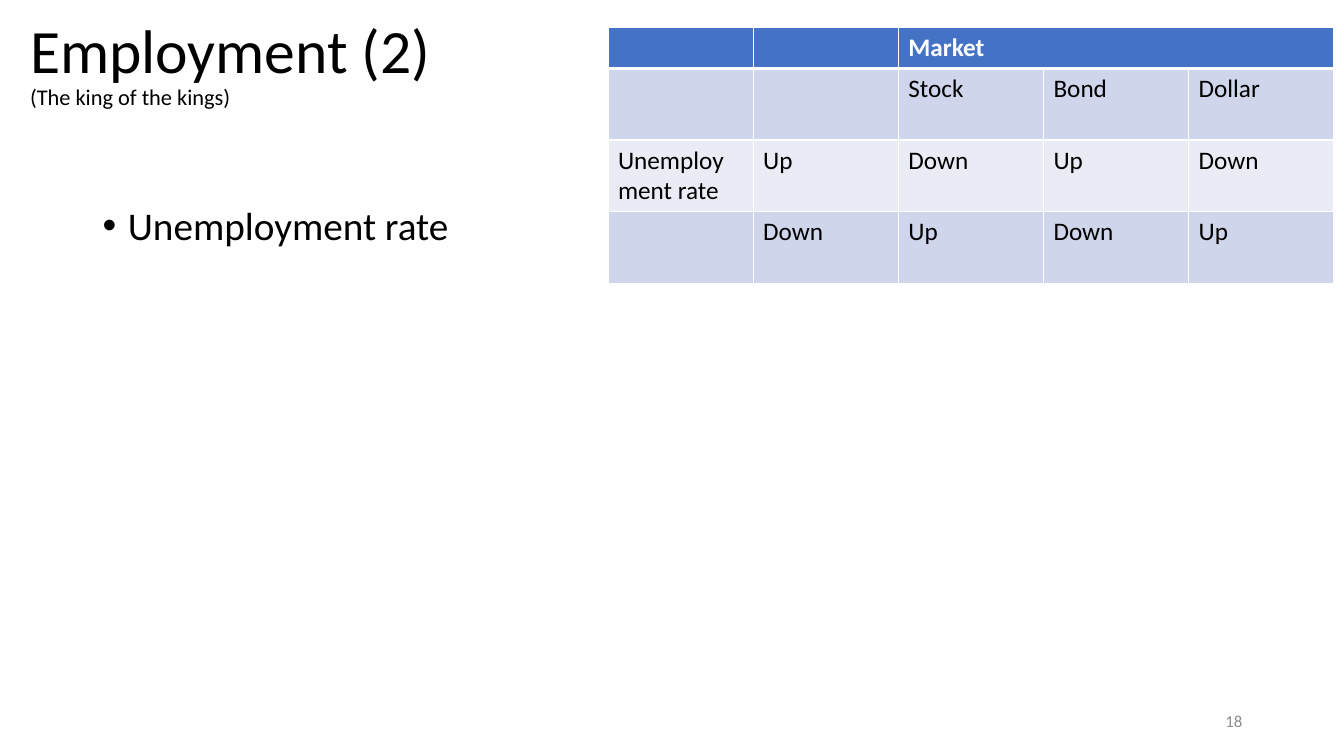
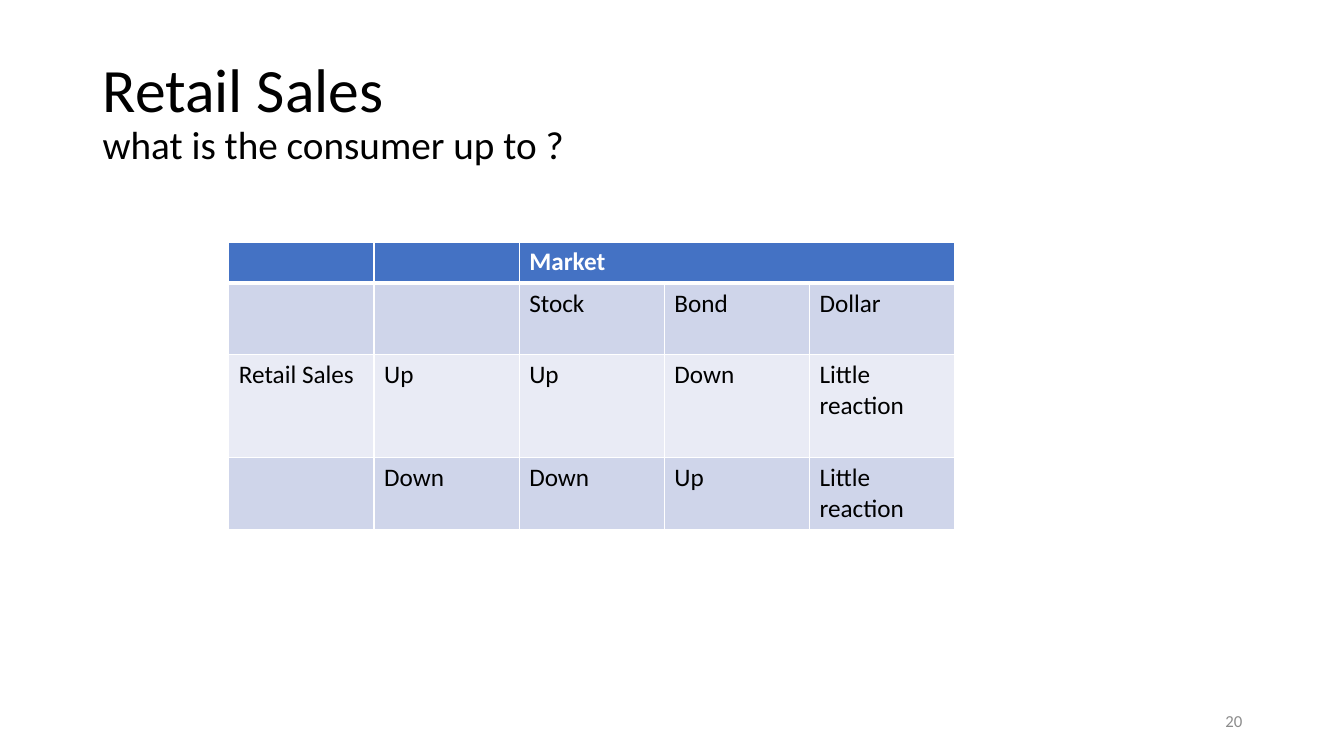
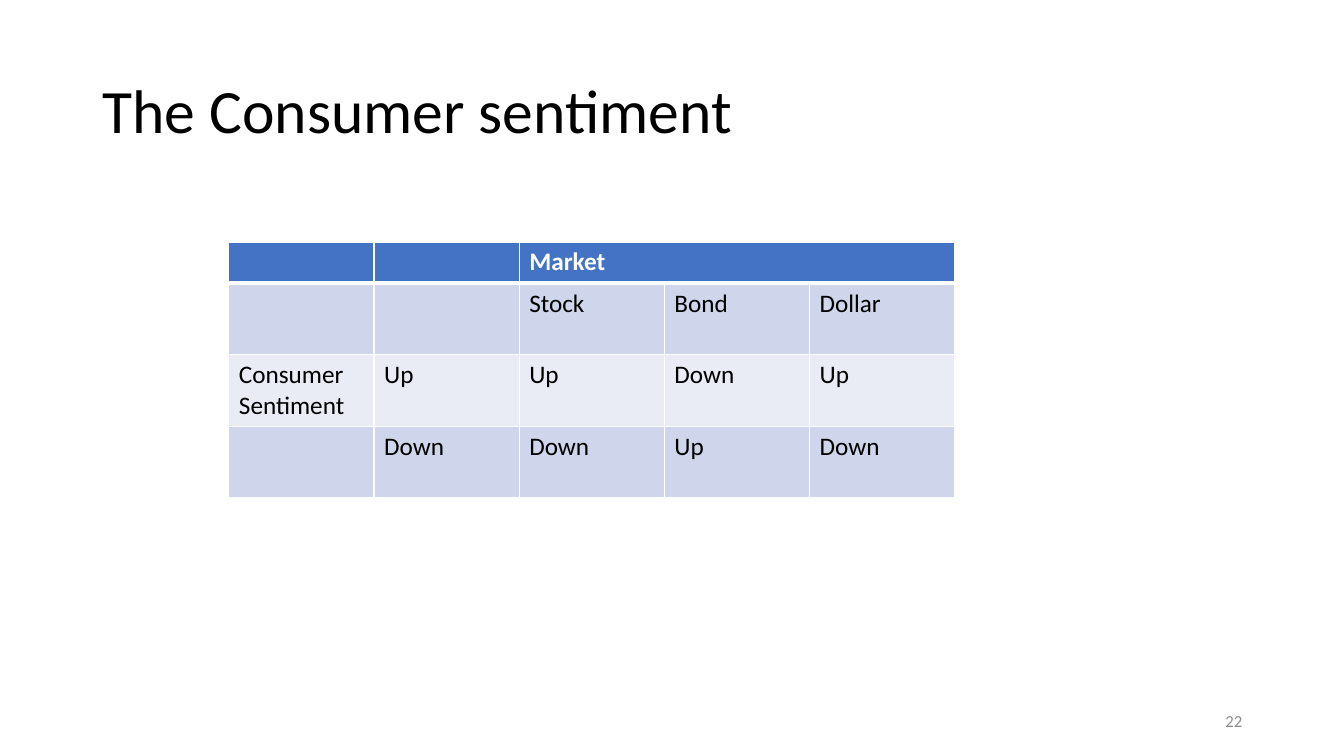
import pptx
import pptx.util
import pptx.dml.color
import pptx.enum.text
import pptx.oxml
import pptx.oxml.ns

Inch = pptx.util.Inches
Pt = pptx.util.Pt
Align = pptx.enum.text.PP_ALIGN
Anchor = pptx.enum.text.MSO_ANCHOR

WIDE, HIGH = 13.33, 7.5
FONT = "Calibri"
INK = {"text": "000000", "head": "4472C4", "dark": "CFD5EA",
       "light": "E9EBF5", "white": "FFFFFF", "page": "8C8C8C"}
BANDS = ["head", "dark", "light", "dark"]
HEADS = [["", "", "Market", "", ""], ["", "", "Stock", "Bond", "Dollar"]]
COL = 1.44
ROWS = [0.41, 0.71, 0.71, 0.71]
TITLE = (0.92, 0.4, 11.5, 1.45)
BODY = (0.92, 2, 11.5, 4.76)
PAGE = (9.42, 6.95, 3, 0.4)
GRID = (2.27, 2.4)

SLIDES = [
    {"title": "Employment (2)", "sub": ("(The king of the kings)", 16),
     "place": (0.2, 0.15, 11.5, 1), "point": "Unemployment rate",
     "grid": (6.03, 0.27), "page": 18,
     "rows": [["Unemployment rate", "Up", "Down", "Up", "Down"],
              ["", "Down", "Up", "Down", "Up"]]},
    {"title": "Retail Sales", "sub": ("what is the consumer up to ?", 28),
     "page": 20, "tall": [0.41, 0.71, 1.02, 0.71],
     "rows": [["Retail Sales", "Up", "Up", "Down", "Little reaction"],
              ["", "Down", "Down", "Up", "Little reaction"]]},
    {"title": "The Consumer sentiment", "page": 22,
     "rows": [["Consumer Sentiment", "Up", "Up", "Down", "Up"],
              ["", "Down", "Down", "Up", "Down"]]},
]


def shade(name):
    return pptx.dml.color.RGBColor.from_string(INK[name])


def style(para, size, ink="text", bold=False):
    font = para.font
    font.name, font.size, font.bold = FONT, Pt(size), bold
    font.color.rgb = shade(ink)


def add_box(slide, place, text, anchor):
    box = slide.shapes.add_textbox(*map(Inch, place))
    frame = box.text_frame
    frame.word_wrap = True
    frame.vertical_anchor = anchor
    para = frame.paragraphs[0]
    para.add_run().text = text
    return para


def add_title(slide, data):
    para = add_box(slide, data.get("place", TITLE), data["title"], Anchor.MIDDLE)
    para.line_spacing = 0.9
    style(para, 44)
    if "sub" in data:
        text, size = data["sub"]
        para.add_line_break()
        run = para.add_run()
        run.text = text
        run.font.size = Pt(size)


def add_point(slide, text):
    para = add_box(slide, BODY, text, Anchor.TOP)
    para.line_spacing = 0.9
    props = para._p.get_or_add_pPr()
    props.set("marL", str(Inch(0.25)))
    props.set("indent", str(-Inch(0.25)))
    for tag, key, value in [("buFont", "typeface", "Arial"), ("buChar", "char", "•")]:
        mark = pptx.oxml.parse_xml(f'<a:{tag} {pptx.oxml.ns.nsdecls("a")} {key}="{value}"/>')
        props.append(mark)
    style(para, 28)


def add_edges(cell, base):
    props = cell._tc.get_or_add_tcPr()
    for side, width in {"L": 1, "R": 1, "T": 1, "B": base}.items():
        props.append(pptx.oxml.parse_xml(
            f'<a:ln{side} {pptx.oxml.ns.nsdecls("a")} w="{Pt(width)}"><a:solidFill>'
            f'<a:srgbClr val="{INK["white"]}"/></a:solidFill></a:ln{side}>'))


def add_grid(slide, data):
    cells = HEADS + data["rows"]
    tall = data.get("tall", ROWS)
    count = len(cells[0])
    left, top = data.get("grid", GRID)
    table = slide.shapes.add_table(len(cells), count, Inch(left), Inch(top),
                                   Inch(COL * count), Inch(sum(tall))).table
    for col in table.columns:
        col.width = Inch(COL)
    for r, (texts, band) in enumerate(zip(cells, BANDS)):
        head = band == "head"
        table.rows[r].height = Inch(tall[r])
        for c, text in enumerate(texts):
            cell = table.cell(r, c)
            add_edges(cell, 3 if head else 1)
            cell.fill.solid()
            cell.fill.fore_color.rgb = shade(band)
            cell.text = text
            style(cell.text_frame.paragraphs[0], 18, "white" if head else "text", head)
    table.cell(0, 2).merge(table.cell(0, count - 1))


def add_page(slide, number):
    para = add_box(slide, PAGE, str(number), Anchor.MIDDLE)
    para.alignment = Align.RIGHT
    style(para, 12, "page")


def main():
    deck = pptx.Presentation()
    deck.slide_width, deck.slide_height = Inch(WIDE), Inch(HIGH)
    for data in SLIDES:
        slide = deck.slides.add_slide(deck.slide_layouts[6])
        add_title(slide, data)
        if "point" in data:
            add_point(slide, data["point"])
        add_grid(slide, data)
        add_page(slide, data["page"])
    deck.save("out.pptx")


if __name__ == "__main__":
    main()
